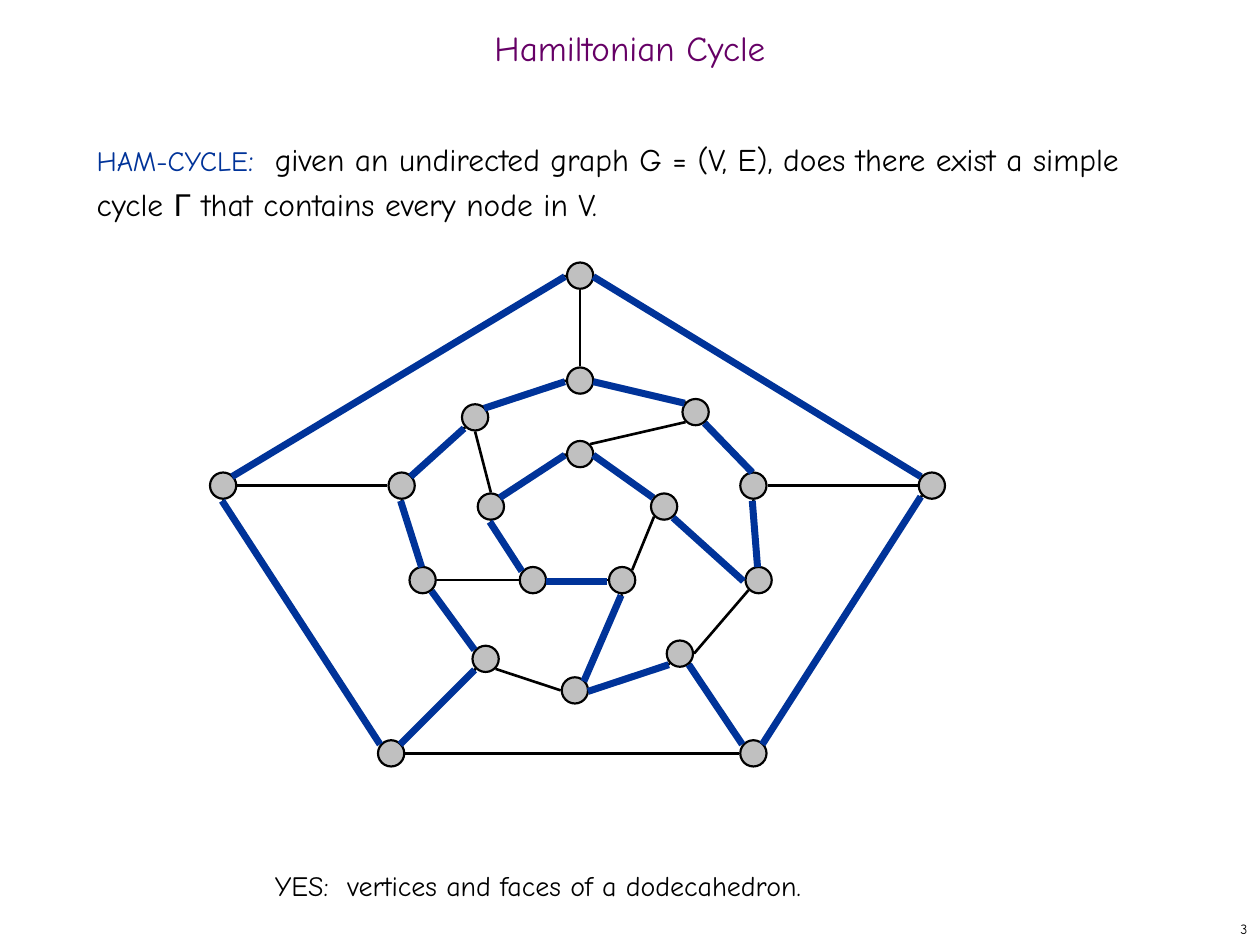
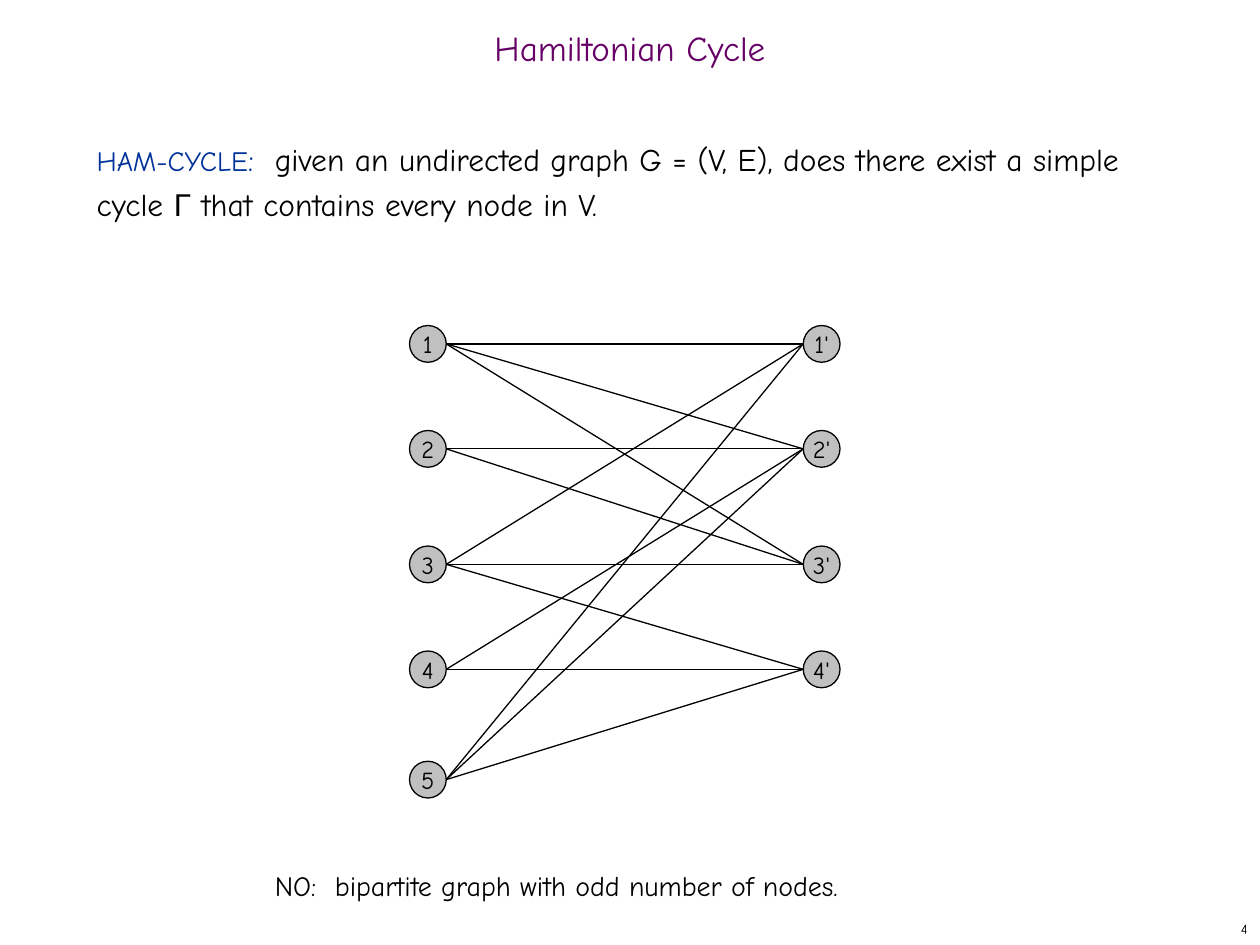
import math

import pptx
import pptx.dml.color
import pptx.enum.shapes
import pptx.enum.text
import pptx.oxml.ns
import pptx.util
from lxml import etree

EMU_PER_PX = 7620  # 120 px to the inch
FONT = "Comic Neue"
COLORS = {"title": "660066", "accent": "003399", "ink": "000000", "node": "C0C0C0"}
ALIGN = pptx.enum.text.PP_ALIGN
ANCHOR = pptx.enum.text.MSO_ANCHOR
AUTO_SIZE = pptx.enum.text.MSO_AUTO_SIZE

# Boxes: left, top, width, height
TITLE_BOX = (0, 20, 1200, 60)
QUESTION_BOX = (80, 120, 1030, 710)
ANSWER_BOX = (250, 821, 710, 44)
NUMBER_BOX = (950, 870, 250, 30)
DODECAHEDRON_BOX = (200, 250, 700, 480)
BIPARTITE_BOX = (390, 310, 410, 450)

# Dodecahedron: o = outer pentagon, m = middle ring, i = inner pentagon
VERTEX_SIZE = 25
EDGE_GAP = 1
VERTICES = {
    "o0": (340, 0), "o1": (675, 200), "o2": (505, 455), "o3": (160, 455), "o4": (0, 200),
    "m0": (340, 100), "m1": (450, 130), "m2": (505, 200), "m3": (510, 290), "m4": (435, 360),
    "m5": (335, 395), "m6": (250, 365), "m7": (190, 290), "m8": (170, 200), "m9": (240, 135),
    "i0": (340, 170), "i1": (420, 220), "i2": (380, 290), "i3": (295, 290), "i4": (255, 220),
}
COMPASS = {side: math.radians(45 * step) for step, side in
           enumerate(("E", "SE", "S", "SW", "W", "NW", "N", "NE"))}
CYCLE_EDGES = """
    o0.E-o1.NW  o1.SW-o2.NE  o2.NW-m4.SE  m4.SW-m5.E  m5.NE-i2.S
    i2.W-i3.E   i3.NW-i4.S   i4.NE-i0.W   i0.E-i1.NW  i1.SE-m3.W
    m3.N-m2.S   m2.N-m1.SE   m1.NW-m0.E   m0.W-m9.NE  m9.SW-m8.NE
    m8.S-m7.N   m7.SE-m6.NW  m6.SW-o3.NE  o3.NW-o4.S  o4.NE-o0.W
""".split()
OTHER_EDGES = """
    i2.NE-i1.SW  o3.E-o2.W  m3.SW-m4.E  m6.SE-m5.W  m8.W-o4.E
    m0.N-o0.S    m2.E-o1.W  m7.E-i3.W   i4.N-m9.S   m1.SW-i0.NE
""".split()

# Bipartite graph
NODE_SIZE = 35
RIGHT_COLUMN = 375
ROW_TOPS = (0, 100, 210, 310, 415)
NEIGHBOURS = {1: (1, 2, 3), 2: (2, 3), 3: (1, 3, 4), 4: (2, 4), 5: (1, 2, 4)}


def px(length):
    return pptx.util.Emu(round(length * EMU_PER_PX))


def rgb(name):
    return pptx.dml.color.RGBColor.from_string(COLORS[name])


def move(shape, box):
    shape.left, shape.top, shape.width, shape.height = map(px, box)


def add_run(paragraph, text, size, color="ink", font=FONT):
    run = paragraph.add_run()
    run.text = text
    run.font.name, run.font.size = font, pptx.util.Pt(size)
    run.font.color.rgb = rgb(color)


def add_line(shapes, start, end, color, width):
    line = shapes.add_connector(pptx.enum.shapes.MSO_CONNECTOR.STRAIGHT,
                                *map(px, (*start, *end)))
    line.line.color.rgb = rgb(color)
    line.line.width = pptx.util.Pt(width)
    etree.SubElement(line._element.spPr, pptx.oxml.ns.qn("a:effectLst"))


def add_node(shapes, left, top, size, outline, label=None):
    node = shapes.add_shape(pptx.enum.shapes.MSO_SHAPE.OVAL,
                            px(left), px(top), px(size), px(size))
    node.shadow.inherit = False
    node.fill.solid()
    node.fill.fore_color.rgb = rgb("node")
    node.line.color.rgb = rgb("ink")
    node.line.width = pptx.util.Pt(outline)
    if label:
        frame = node.text_frame
        frame.word_wrap = False
        frame.vertical_anchor = ANCHOR.MIDDLE
        frame.paragraphs[0].alignment = ALIGN.CENTER
        add_run(frame.paragraphs[0], label, 14)


def add_title(slide, box):
    title = slide.shapes.title
    move(title, box)
    title.text_frame.auto_size = AUTO_SIZE.NONE
    title.text_frame.vertical_anchor = ANCHOR.MIDDLE
    heading = title.text_frame.paragraphs[0]
    heading.alignment = ALIGN.CENTER
    heading.line_spacing = 0.7
    add_run(heading, "Hamiltonian Cycle", 20, "title")


def add_question(slide, box):
    body = slide.placeholders[1]
    move(body, box)
    body.text_frame.auto_size = AUTO_SIZE.NONE
    question = body.text_frame.paragraphs[0]
    question.line_spacing = pptx.util.Pt(26)
    question.space_before = pptx.util.Pt(0)
    properties = question._p.get_or_add_pPr()
    properties.set("marL", "0")
    properties.set("indent", "0")
    etree.SubElement(properties, pptx.oxml.ns.qn("a:buNone"))
    add_run(question, "HAM-CYCLE", 16, "accent")
    add_run(question, ":  ", 18, "accent")
    add_run(question, "given an undirected graph G = (V, E), "
                      "does there exist a simple cycle ", 18)
    add_run(question, "Γ", 18, font="Arial")
    add_run(question, " that contains every node in V.", 18)


def add_slide_number(slide, box, number):
    corner = slide.shapes.add_textbox(*map(px, box))
    corner.text_frame.word_wrap = True
    corner.text_frame.vertical_anchor = ANCHOR.MIDDLE
    corner.text_frame.paragraphs[0].alignment = ALIGN.RIGHT
    add_run(corner.text_frame.paragraphs[0], str(number), 8)


def add_answer(shapes, box, text):
    answer = shapes.add_textbox(*map(px, box))
    answer.text_frame.word_wrap = True
    answer.text_frame.auto_size = AUTO_SIZE.SHAPE_TO_FIT_TEXT
    answer.text_frame.paragraphs[0].space_before = pptx.util.Pt(10)
    add_run(answer.text_frame.paragraphs[0], text, 16)


def edge_ends(edge, left, top):
    """Both end points of an edge written as vertex.side-vertex.side."""
    reach = VERTEX_SIZE / 2 + EDGE_GAP
    for end in edge.split("-"):
        vertex, side = end.split(".")
        x, y = VERTICES[vertex]
        yield (left + x + VERTEX_SIZE / 2 + reach * math.cos(COMPASS[side]),
               top + y + VERTEX_SIZE / 2 + reach * math.sin(COMPASS[side]))


def draw_dodecahedron(shapes, box):
    left, top = box[:2]
    for edge in CYCLE_EDGES + OTHER_EDGES:
        add_line(shapes, *edge_ends(edge, left, top), "ink", 1.5)
    for x, y in VERTICES.values():
        add_node(shapes, left + x, top + y, VERTEX_SIZE, 1.25)


def highlight_cycle(shapes, box):
    left, top = box[:2]
    for edge in CYCLE_EDGES:
        add_line(shapes, *edge_ends(edge, left - 1, top + 1), "accent", 4)


def draw_bipartite_graph(shapes, box):
    left, top = box[:2]
    for number, row in enumerate(ROW_TOPS, start=1):
        add_node(shapes, left, top + row, NODE_SIZE, 0.75, str(number))
    for number, row in enumerate(ROW_TOPS[:-1], start=1):
        add_node(shapes, left + RIGHT_COLUMN, top + row, NODE_SIZE, 0.75, f"{number}'")
    middles = [top + row + NODE_SIZE / 2 for row in ROW_TOPS]
    for number, partners in NEIGHBOURS.items():
        for partner in partners:
            add_line(shapes, (left + NODE_SIZE, middles[number - 1]),
                     (left + RIGHT_COLUMN, middles[partner - 1]), "ink", 0.75)


def add_problem_slide(deck, number):
    slide = deck.slides.add_slide(deck.slide_layouts[1])
    add_title(slide, TITLE_BOX)
    add_question(slide, QUESTION_BOX)
    add_slide_number(slide, NUMBER_BOX, number)
    return slide


def main():
    deck = pptx.Presentation()
    deck.slide_width, deck.slide_height = px(1200), px(900)

    # Graph with a Hamiltonian cycle; the answer and the cycle form one group
    slide = add_problem_slide(deck, 3)
    draw_dodecahedron(slide.shapes, DODECAHEDRON_BOX)
    solution = slide.shapes.add_group_shape()
    add_answer(solution.shapes, ANSWER_BOX, "YES:  vertices and faces of a dodecahedron.")
    highlight_cycle(solution.shapes, DODECAHEDRON_BOX)

    # Graph without one
    slide = add_problem_slide(deck, 4)
    draw_bipartite_graph(slide.shapes, BIPARTITE_BOX)
    add_answer(slide.shapes, ANSWER_BOX, "NO:  bipartite graph with odd number of nodes.")

    deck.save("out.pptx")


if __name__ == "__main__":
    main()
